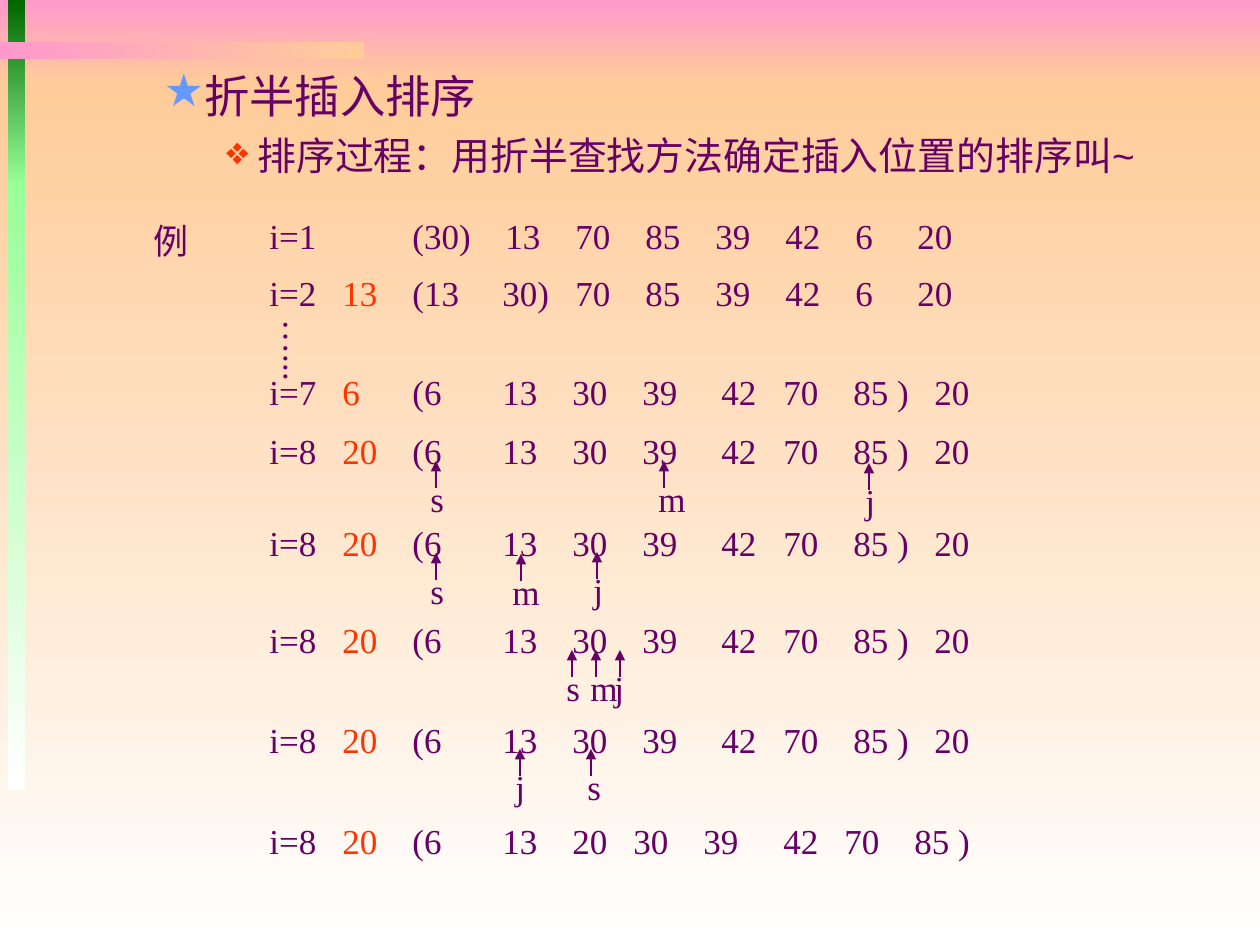
from dataclasses import dataclass

from lxml import etree
from pptx import Presentation
from pptx.dml.color import RGBColor
from pptx.enum.shapes import MSO_CONNECTOR, MSO_SHAPE
from pptx.enum.text import MSO_ANCHOR, MSO_AUTO_SIZE, PP_ALIGN
from pptx.oxml.ns import qn
from pptx.util import Emu, Pt

RECT = MSO_SHAPE.RECTANGLE
LINE = MSO_CONNECTOR.STRAIGHT
TOP = MSO_ANCHOR.TOP
FIXED = MSO_AUTO_SIZE.NONE
LEFT = PP_ALIGN.LEFT
SCALE = 914400 / 126


@dataclass(frozen=True)
class Theme:
    ink: str = "660066"
    red: str = "FF3300"
    blue: str = "6699FF"
    pink: str = "FF99CC"
    tan: str = "FFCC99"
    dark: str = "006600"
    lime: str = "99FF99"
    white: str = "FFFFFF"
    sans: str = "Arial"
    serif: str = "Times New Roman"
    head: float = 25.9
    sub: float = 22.2
    body: float = 20
    thin: float = 0.75


THEME = Theme()
DOWN, ACROSS = 270, 0
BANDS = [
    ((0, 0, 1260, 84), THEME.pink, THEME.tan, DOWN),
    ((0, 84, 1260, 861), THEME.tan, THEME.white, DOWN),
    ((8, 0, 17, 186), THEME.dark, THEME.lime, DOWN),
    ((8, 184, 17, 606), THEME.lime, THEME.white, DOWN),
    ((0, 42, 364, 17), THEME.pink, THEME.tan, ACROSS),
]

KEY = 73
FIRST = (143, 236, 306, 376, 446, 516, 586, 648)
NEXT = (143, 233, 306, 376, 446, 516, 586, 648)
LATE = (143, 233, 303, 373, 452, 514, 584, 665)
LAST = (143, 233, 303, 364, 434, 514, 575, 645)
SORTED = "(6|13|30|39|42|70|85 )|20"
ROWS = [
    (208, "i=1", "", "(30)|13|70|85|39|42|6|20", FIRST, []),
    (265, "i=2", "13", "(13|30)|70|85|39|42|6|20", NEXT, []),
    (364, "i=7", "6", SORTED, LATE, []),
    (423, "i=8", "20", SORTED, LATE,
     [("s", 436, 418, 0), ("j", 869, 853, 2), ("m", 664, 646, 0)]),
    (515, "i=8", "20", SORTED, LATE,
     [("s", 436, 418, 0), ("j", 597, 581, -1), ("m", 521, 500, 1)]),
    (612, "i=8", "20", SORTED, LATE,
     [("s", 572, 554, 0), ("j", 620, 602, 0), ("m", 596, 578, 0)]),
    (712, "i=8", "20", SORTED, LATE,
     [("s", 591, 575, -1), ("j", 520, 503, -1)]),
    (813, "i=8", "20", "(6|13|20|30|39|42|70|85 )", LAST, []),
]


def px(size):
    return Emu(round(size * SCALE))


def ink(code):
    return RGBColor.from_string(code)


def style(para, face, size):
    para.font.name = face
    para.font.size = Pt(size)
    para.font.color.rgb = ink(THEME.ink)
    para.font.bold = False


def add_text(slide, box, text, face=THEME.serif, size=THEME.body):
    shape = slide.shapes.add_textbox(*map(px, box))
    shape.text_frame.word_wrap = True
    para = shape.text_frame.paragraphs[0]
    para.text = text
    style(para, face, size)
    return shape


def set_mark(para, sign, color, left, hang):
    props = para._p.get_or_add_pPr()
    props.set("marL", str(px(left)))
    props.set("indent", str(px(-hang)))
    tint = etree.Element(qn("a:buClr"))
    etree.SubElement(tint, qn("a:srgbClr"), val=color)
    char = etree.Element(qn("a:buChar"), char=sign)
    props.insert(0, tint)
    props.insert(1, char)


def draw_bands(slide):
    for box, start, end, angle in BANDS:
        band = slide.shapes.add_shape(RECT, *map(px, box))
        band.shadow.inherit = False
        band.line.fill.background()
        band.fill.gradient()
        band.fill.gradient_angle = angle
        for stop, code in zip(band.fill.gradient_stops, (start, end)):
            stop.color.rgb = ink(code)


def draw_head(slide, left, top, width):
    title = slide.shapes.title
    title.element.getparent().append(title.element)
    title.left, title.top, title.width, title.height = map(px, (left, top, width, 64))
    frame = title.text_frame
    frame.auto_size = FIXED
    frame.vertical_anchor = TOP
    para = frame.paragraphs[0]
    para.text = "折半插入排序"
    para.alignment = LEFT
    set_mark(para, "★", THEME.blue, 102, 39)
    style(para, THEME.sans, THEME.head)
    sub = add_text(slide, (left, top + 64, width, 64),
                   "排序过程：用折半查找方法确定插入位置的排序叫~", THEME.sans, THEME.sub)
    set_mark(sub.text_frame.paragraphs[0], "❖", THEME.red, 157, 31)


def draw_row(slide, left, top, label, key, cells, stops):
    shape = slide.shapes.add_textbox(*map(px, (left, top, 740, 55)))
    shape.text_frame.word_wrap = True
    para = shape.text_frame.paragraphs[0]
    tabs = etree.SubElement(para._p.get_or_add_pPr(), qn("a:tabLst"))
    for stop in ((KEY,) if key else ()) + stops:
        etree.SubElement(tabs, qn("a:tab"), pos=str(px(stop)), algn="l")
    style(para, THEME.serif, THEME.body)
    para.add_run().text = label + "\t"
    if key:
        run = para.add_run()
        run.text = key
        run.font.color.rgb = ink(THEME.red)
        cells = "\t" + cells
    para.add_run().text = cells.replace("|", "\t")


def draw_mark(slide, top, name, tip, left):
    arrow = slide.shapes.add_connector(LINE, *map(px, (tip, top + 65, tip, top + 38)))
    arrow.line.color.rgb = ink(THEME.ink)
    arrow.line.width = Pt(THEME.thin)
    etree.SubElement(arrow.line._get_or_add_ln(), qn("a:tailEnd"), type="triangle")
    etree.SubElement(arrow.element.spPr, qn("a:effectLst"))
    add_text(slide, (left, top + 48, 52, 55), name)


def draw_dots(slide, box):
    dots = add_text(slide, box, "…...")
    frame = dots.text_frame
    frame.margin_left = frame.margin_right = px(6)
    frame.margin_top = frame.margin_bottom = px(13)
    dots.element.txBody.bodyPr.set("vert", "eaVert")


def draw_steps(slide, left):
    add_text(slide, (left - 116, 213, 60, 55), "例")
    for top, label, key, cells, stops, marks in ROWS:
        draw_row(slide, left, top, label, key, cells, stops)
        for name, tip, side, drop in marks:
            draw_mark(slide, top + drop, name, tip, side)
    draw_dots(slide, (left + 1, 307, 67, 90))


def main():
    deck = Presentation()
    deck.slide_width, deck.slide_height = px(1260), px(945)
    slide = deck.slides.add_slide(deck.slide_layouts[5])
    draw_bands(slide)
    draw_head(slide, 88, 62, 1172)
    draw_steps(slide, 257)
    deck.save("out.pptx")


if __name__ == "__main__":
    main()
